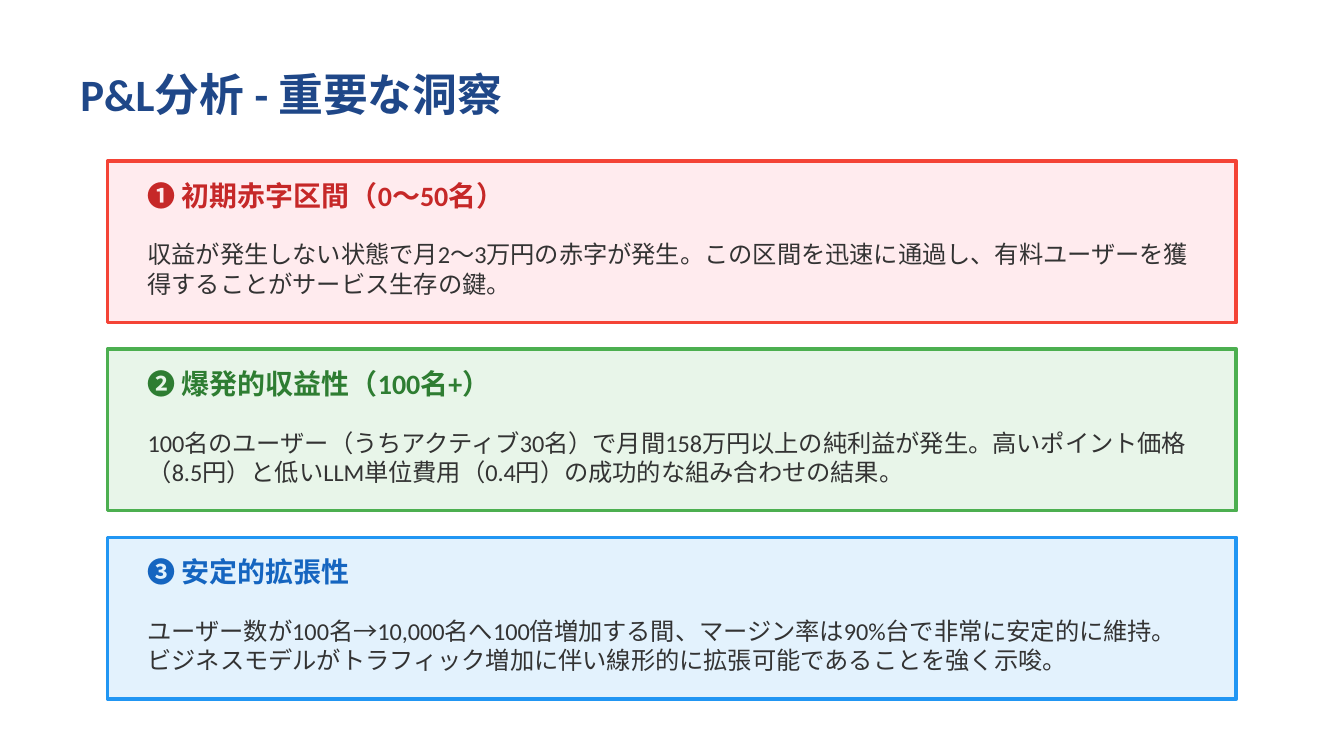
from dataclasses import dataclass

from pptx import Presentation
from pptx.dml.color import RGBColor
from pptx.enum.shapes import MSO_SHAPE
from pptx.enum.text import MSO_ANCHOR, PP_ALIGN
from pptx.util import Pt

RECT = MSO_SHAPE.RECTANGLE
MIDDLE = MSO_ANCHOR.MIDDLE
LEFT = PP_ALIGN.LEFT

FONT = "Calibri"
CARD_LEFT, CARD_TOP = 57.6, 86.4
CARD_WIDTH, CARD_HEIGHT = 604.8, 86.4
CARD_PITCH = 100.8
TEXT_LEFT, TEXT_WIDTH = 72, 576


@dataclass
class Insight:
    heading: str
    body: str
    fill: str
    border: str
    accent: str


INSIGHTS = [
    Insight(
        "❶ 初期赤字区間（0～50名）",
        "収益が発生しない状態で月2～3万円の赤字が発生。この区間を迅速に通過し、"
        "有料ユーザーを獲得することがサービス生存の鍵。",
        "FFEBEE", "F44336", "C62828",
    ),
    Insight(
        "❷ 爆発的収益性（100名+）",
        "100名のユーザー（うちアクティブ30名）で月間158万円以上の純利益が発生。"
        "高いポイント価格（8.5円）と低いLLM単位費用（0.4円）の成功的な組み合わせの結果。",
        "E8F5E9", "4CAF50", "2E7D32",
    ),
    Insight(
        "❸ 安定的拡張性",
        "ユーザー数が100名→10,000名へ100倍増加する間、マージン率は90%台で非常に安定的に維持。"
        "ビジネスモデルがトラフィック増加に伴い線形的に拡張可能であることを強く示唆。",
        "E3F2FD", "2196F3", "1565C0",
    ),
]


def rgb(value: str) -> RGBColor:
    return RGBColor.from_string(value)


def add_text(s, text: str, left: float, top: float, width: float, height: float,
             size: float, color: str, bold: bool = False) -> None:
    tf = s.shapes.add_textbox(Pt(left), Pt(top), Pt(width), Pt(height)).text_frame
    tf.word_wrap = True
    tf.vertical_anchor = MIDDLE
    p = tf.paragraphs[0]
    p.alignment = LEFT
    r = p.add_run()
    r.text = text
    for name, value in {"name": FONT, "size": Pt(size), "bold": bold}.items():
        setattr(r.font, name, value)
    r.font.color.rgb = rgb(color)


def add_insight(s, insight: Insight, top: float) -> None:
    sp = s.shapes.add_shape(RECT, Pt(CARD_LEFT), Pt(top), Pt(CARD_WIDTH), Pt(CARD_HEIGHT))
    sp.shadow.inherit = False
    sp.fill.solid()
    sp.fill.fore_color.rgb = rgb(insight.fill)
    sp.line.color.rgb = rgb(insight.border)
    sp.line.width = Pt(2)
    add_text(s, insight.heading, TEXT_LEFT, top + 7.2, TEXT_WIDTH, 21.6,
             15, insight.accent, bold=True)
    add_text(s, insight.body, TEXT_LEFT, top + 36, TEXT_WIDTH, 43.2, 13, "333333")


def main() -> None:
    prs = Presentation()
    prs.slide_width, prs.slide_height = Pt(720), Pt(405)
    s = prs.slides.add_slide(prs.slide_layouts[6])
    s.background.fill.solid()
    s.background.fill.fore_color.rgb = rgb("FFFFFF")
    add_text(s, "P&L分析 - 重要な洞察", 36, 28.8, 648, 43.2, 24, "1F4788", bold=True)
    for i, insight in enumerate(INSIGHTS):
        add_insight(s, insight, CARD_TOP + i * CARD_PITCH)
    prs.save("out.pptx")


if __name__ == "__main__":
    main()
